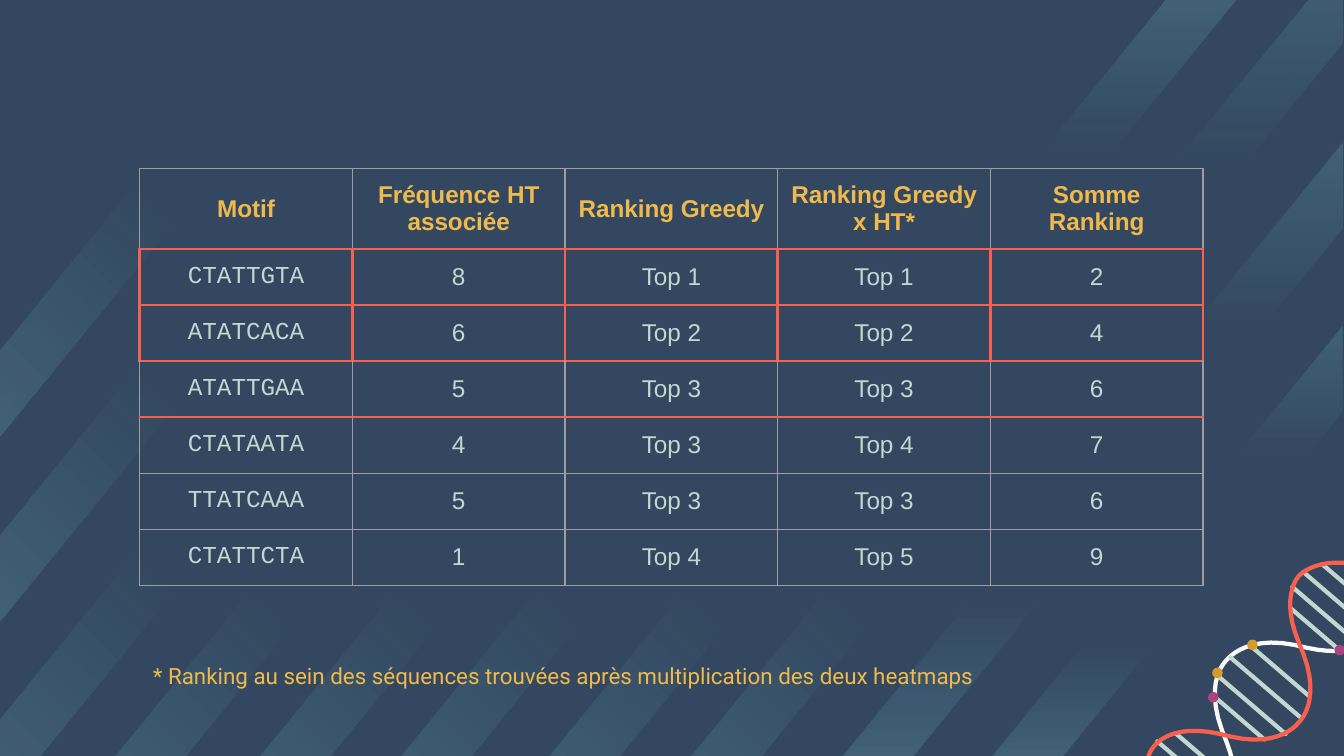
"""Build the slide that ranks DNA motifs in a table beside a helix."""
from lxml.etree import SubElement as Sub
from pptx import Presentation
from pptx.dml.color import RGBColor as RGB
from pptx.enum.shapes import MSO_SHAPE as Kind
from pptx.enum.text import MSO_ANCHOR as Anchor, PP_ALIGN as Align
from pptx.oxml import parse_xml
from pptx.oxml.ns import nsdecls, qn
from pptx.util import Cm, Pt

NAVY = RGB(0x33, 0x48, 0x60)
SKY = RGB(0x87, 0xD2, 0xE4)
MINT = RGB(0xC2, 0xD7, 0xD0)
WHITE = RGB(0xF9, 0xF9, 0xF9)
CORAL = RGB(0xF7, 0x5F, 0x4F)
PLUM = RGB(0xAA, 0x43, 0x7E)
GOLD = RGB(0xD3, 0x9C, 0x2C)
AMBER = RGB(0xEF, 0xB9, 0x4B)
GREY = RGB(0x9E, 0x9E, 0x9E)

deck = Presentation()
deck.slide_width, deck.slide_height = Cm(25.4), Cm(14.29)
slide = deck.slides.add_slide(deck.slide_layouts[6])
slide.background.fill.solid()
slide.background.fill.fore_color.rgb = NAVY
shapes = slide.shapes


def paint(shape, color):
    shape.shadow.inherit = False
    shape.fill.solid()
    shape.fill.fore_color.rgb = color
    shape.line.fill.background()


def outline(points, color):
    dots = [(Cm(x), Cm(y)) for x, y in points]
    path = shapes.build_freeform(*dots[0])
    path.add_line_segments(dots[1:], close=True)
    shape = path.convert_to_shape()
    paint(shape, color)
    return shape


TOP = [(0, 18), (58, 0), (100, 0)]
EDGE = [(0, 18), (82, 0), (100, 0)]
ENDS = [(0, 18), (29, 0), (75, 0), (100, 18)]
FADE = [(0, 18), (84, 0), (100, 0)]

beams = []
for right, top, left, base, stops in [(25.37, -0.81, 21.56, 3.86, EDGE),
                                      (25.37, 6.15, 18.75, 14.29, ENDS),
                                      (25.37, 2.67, 15.9, 14.29, ENDS)]:
    beams.append(([(right, top), (left, base), (left + 1.34, base),
                   (right, top + 1.63)], stops, 90))
spots = [(19.46, 0)]
spots += [(x, 11.13) for x in (13.08, 2.18, 4.93, 7.59, 10.39)]
spots += [(0, 3.48 * n) for n in (3, 2, 1)]
for x, y in spots:
    points = [(x + 2.57, y), (x, y + 3.16), (x, y + 4.8), (x + 3.91, y)]
    beams.append((points, FADE if y else TOP, 315 if y else 90))

for points, stops, angle in beams:
    beam = outline(points, SKY)
    marks = "".join(
        f'<a:gs pos="{pos * 1000}"><a:srgbClr val="{SKY}">'
        f'<a:alpha val="{alpha * 1000}"/></a:srgbClr></a:gs>'
        for pos, alpha in stops)
    grad = parse_xml(
        f'<a:gradFill {nsdecls("a")}><a:gsLst>{marks}</a:gsLst>'
        f'<a:lin ang="{angle * 60000}" scaled="0"/></a:gradFill>')
    props = beam.element.spPr
    props.replace(props.find(qn("a:solidFill")), grad)

BACK = [(10.2, 3.66),
        (10.2, 3.66), (10.02, 3.83), (10.18, 4.22),
        (10.33, 4.55), (10.23, 4.71), (10.2, 4.75),
        (10.16, 4.79), (10.03, 4.9), (9.68, 4.81),
        (9.27, 4.71), (9.13, 4.91), (9.12, 4.92),
        (9.11, 4.93), (8.95, 5.09), (9.11, 5.48),
        (9.25, 5.81), (9.16, 5.96), (9.12, 6),
        (9.08, 6.04), (8.95, 6.16), (8.6, 6.07),
        (8.2, 5.97), (8.05, 6.17), (8.04, 6.18)]
FRONT = [(10.74, 4.12),
         (10.73, 4.13), (10.6, 4.32), (10.18, 4.22),
         (9.84, 4.13), (9.7, 4.25), (9.66, 4.29),
         (9.63, 4.33), (9.53, 4.49), (9.68, 4.82),
         (9.84, 5.2), (9.68, 5.36), (9.66, 5.38),
         (9.65, 5.39), (9.51, 5.58), (9.11, 5.47),
         (8.76, 5.38), (8.62, 5.51), (8.59, 5.55),
         (8.55, 5.59), (8.46, 5.75), (8.6, 6.07),
         (8.77, 6.46), (8.6, 6.63), (8.58, 6.64)]
RUNGS = [(23.01, 12.95, 1.8), (21.62, 14.55, 1.85), (22, 14.3, 1.55),
         (24.21, 11.86, 1.3), (24.18, 11.61, 1.78), (24.38, 11.35, 1.85),
         (24.79, 11.1, 1.5), (22.78, 13.54, 1.3), (22.76, 13.28, 1.78),
         (23.42, 12.65, 1.55)]

for strand, color in [(BACK, WHITE), (FRONT, CORAL)]:
    if strand is FRONT:
        for x, y, width in RUNGS:
            rung = shapes.add_shape(Kind.ROUNDED_RECTANGLE, Cm(x), Cm(y),
                                    Cm(width), Cm(0.08))
            rung.adjustments[0] = 0.5
            rung.rotation = 40.6
            paint(rung, MINT)
    knots = [complex(x, y) * 2.54 for x, y in strand]
    near, far = [], []
    for i in range(0, len(knots) - 1, 3):
        a, b, c, d = knots[i:i + 4]
        for step in range(12):
            t = (step + 0.5) / 12
            u = 1 - t
            mid = u**3 * a + 3 * u*u*t * b + 3 * u*t*t * c + t**3 * d
            slope = u*u * (b - a) + 2 * u*t * (c - b) + t*t * (d - c)
            side = slope / abs(slope) * 0.04j
            near.append(mid + side)
            far.append(mid - side)
    outline([(p.real, p.imag) for p in near + far[::-1]], color)

for x, y, color in [(25.22, 12.19, PLUM), (22.83, 13.08, PLUM),
                    (23.57, 12.09, GOLD), (22.91, 12.62, GOLD)]:
    dot = shapes.add_shape(Kind.OVAL, Cm(x), Cm(y), Cm(0.2), Cm(0.2))
    paint(dot, color)

ROWS = [
    ["Motif", "Fréquence HT associée", "Ranking Greedy",
     "Ranking Greedy x HT*", "Somme Ranking"],
    ["CTATTGTA", "8", "Top 1", "Top 1", "2"],
    ["ATATCACA", "6", "Top 2", "Top 2", "4"],
    ["ATATTGAA", "5", "Top 3", "Top 3", "6"],
    ["CTATAATA", "4", "Top 3", "Top 4", "7"],
    ["TTATCAAA", "5", "Top 3", "Top 3", "6"],
    ["CTATTCTA", "1", "Top 4", "Top 5", "9"],
]
HOT = {0: "B", 1: "LRTB", 2: "LRTB", 3: "TB"}

table = shapes.add_table(7, 5, Cm(2.64), Cm(3.18), Cm(20.1), Cm(7.42)).table
table.first_row = table.horz_banding = False
for col in table.columns:
    col.width = Cm(4.02)
for r, row in enumerate(ROWS):
    table.rows[r].height = Cm(1.06)
    for c, text in enumerate(row):
        cell = table.cell(r, c)
        cell.fill.background()
        cell.vertical_anchor = Anchor.MIDDLE
        cell.margin_left = cell.margin_right = Cm(0.25)
        cell.margin_top = cell.margin_bottom = Cm(0.25)
        para = cell.text_frame.paragraphs[0]
        para.alignment = Align.CENTER
        run = para.add_run()
        run.text = text
        run.font.size = Pt(13)
        run.font.bold = r == 0
        run.font.name = "Courier New" if r and c == 0 else "Arial"
        run.font.color.rgb = MINT if r else AMBER
        props = cell._tc.get_or_add_tcPr()
        for n, side in enumerate("LRTB"):
            hot = side in HOT.get(r, "")
            edge = Sub(props, qn("a:ln" + side), w=str(Pt(1.5 if hot else 0.75)))
            fill = Sub(edge, qn("a:solidFill"))
            Sub(fill, qn("a:srgbClr"), val=str(CORAL if hot else GREY))
            props.insert(n, edge)

note = shapes.add_textbox(Cm(2.64), Cm(12.27), Cm(20.12), Cm(0.81)).text_frame
note.word_wrap = True
note.margin_left = note.margin_right = Cm(0.25)
note.margin_top = note.margin_bottom = Cm(0.25)
run = note.paragraphs[0].add_run()
run.text = ("* Ranking au sein des séquences trouvées après "
            "multiplication des deux heatmaps")
run.font.size = Pt(12)
run.font.name = "Roboto"
run.font.color.rgb = AMBER

deck.save("out.pptx")
